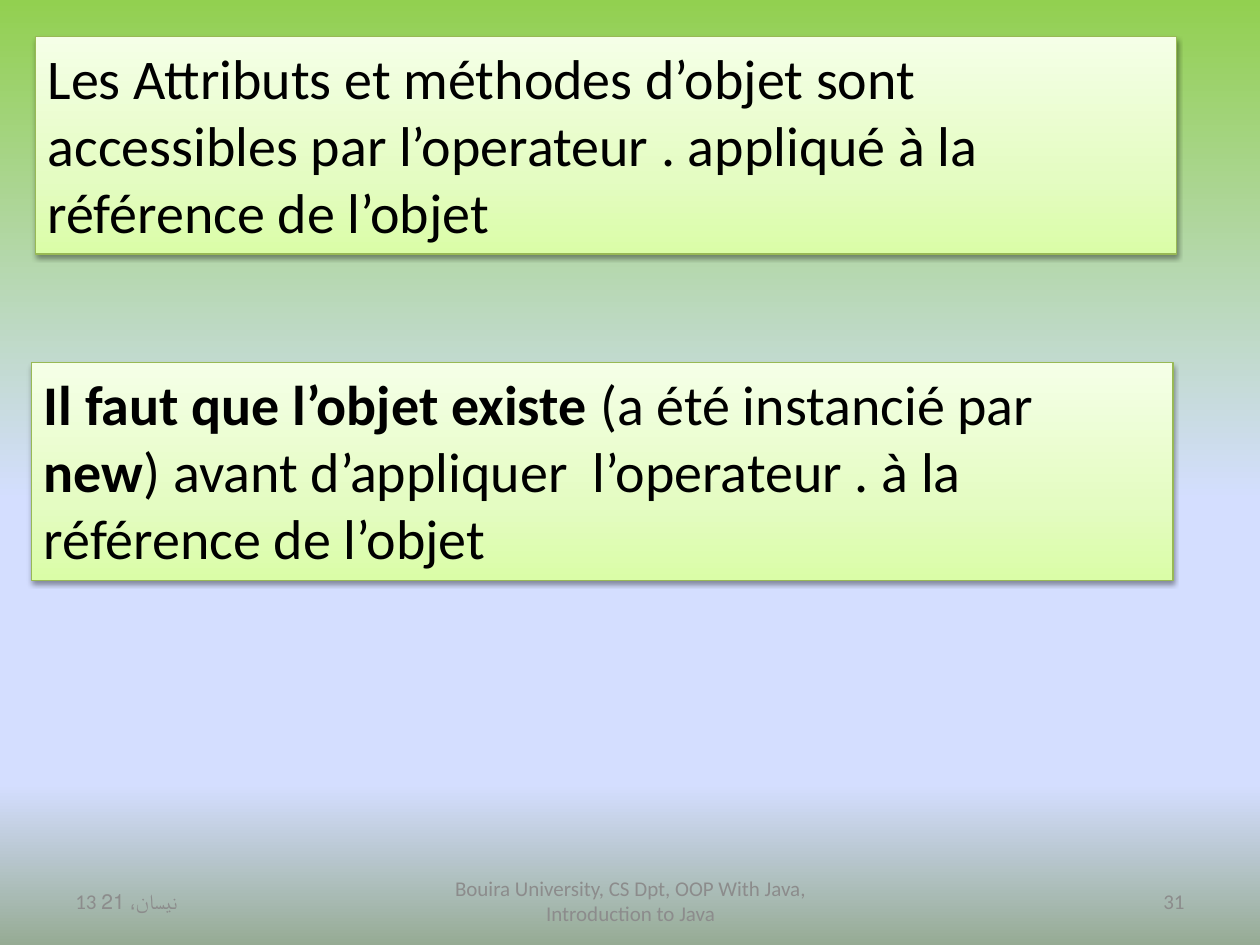
"""Build a slide on reaching an object's members, with two callouts and a footer."""
from typing import NamedTuple

from lxml import etree
from pptx import Presentation
from pptx import util as u
from pptx.dml.color import RGBColor
from pptx.enum import shapes, text
from pptx.oxml.ns import qn

WIDTH, HEIGHT = u.Inches(10), u.Inches(7.5)
FONT = "Calibri"
COLORS = {"text": "000000", "footer": "8C8C8C", "border": "98B955", "shadow": "000000"}
BACKGROUND = [(0, "92D050"), (53, "D4DEFF"), (83, "D4DEFF"), (100, "96AB94")]
CALLOUT_FILL = [(0, "DAFDA7"), (35, "E4FCC2"), (100, "F5FFE7")]
CALLOUT_SIZE = (0.906, 0.23)
FOOTER_TOP, FOOTER_HEIGHT = 0.927, 0.053


class Run(NamedTuple):
    text: str
    bold: bool = False


class Callout(NamedTuple):
    left: float
    top: float
    runs: list[Run]


class Footer(NamedTuple):
    left: float
    width: float
    text: str
    align: text.PP_ALIGN


CALLOUTS = [
    Callout(0.028, 0.039, [
        Run("Les Attributs et méthodes d’objet sont accessibles par "
            "l’operateur . appliqué à la référence de l’objet"),
    ]),
    Callout(0.025, 0.384, [
        Run("Il faut que l’objet existe ", True),
        Run("(a été instancié par "),
        Run("new", True),
        Run(") avant d’appliquer  l’operateur . à la référence de l’objet"),
    ]),
]
FOOTERS = [
    Footer(0.05, 0.233, "13 نيسان، 21", text.PP_ALIGN.LEFT),
    Footer(0.342, 0.317, "Bouira University, CS Dpt, OOP With Java, Introduction to Java",
           text.PP_ALIGN.CENTER),
    Footer(0.717, 0.233, "31", text.PP_ALIGN.RIGHT),
]


def place(left: float, top: float, width: float, height: float) -> tuple[int, ...]:
    return int(left * WIDTH), int(top * HEIGHT), int(width * WIDTH), int(height * HEIGHT)


def add_color(parent, color: str):
    return etree.SubElement(parent, qn("a:srgbClr"), val=color)


def set_gradient(fill, element, stops: list[tuple[int, str]], angle: int) -> None:
    fill.gradient()
    fill.gradient_angle = angle
    stop_list = next(element.iter(qn("a:gsLst")))
    for old in list(stop_list):
        stop_list.remove(old)
    for percent, color in stops:
        add_color(etree.SubElement(stop_list, qn("a:gs"), pos=str(percent * 1000)), color)


def set_shadow(sp) -> None:
    sp.shadow.inherit = False
    effects = next(sp._element.iter(qn("a:effectLst")))
    shadow = etree.SubElement(effects, qn("a:outerShdw"), blurRad=str(u.Pt(3.1)),
                              dist=str(u.Pt(1.6)), dir="5400000", rotWithShape="0")
    etree.SubElement(add_color(shadow, COLORS["shadow"]), qn("a:alpha"), val="38000")


def write(tf, runs: list[Run], size: int, color: str, align: text.PP_ALIGN) -> None:
    tf.word_wrap = True
    p = tf.paragraphs[0]
    p.alignment = align
    p.font.name, p.font.size = FONT, u.Pt(size)
    p.font.color.rgb = RGBColor.from_string(color)
    for run in runs:
        r = p.add_run()
        r.text, r.font.bold = run.text, run.bold


def add_callout(s, callout: Callout) -> None:
    sp = s.shapes.add_shape(shapes.MSO_SHAPE.RECTANGLE,
                            *place(callout.left, callout.top, *CALLOUT_SIZE))
    set_gradient(sp.fill, sp._element, CALLOUT_FILL, 90)
    sp.line.color.rgb = RGBColor.from_string(COLORS["border"])
    sp.line.width = u.Pt(0.75)
    set_shadow(sp)
    tf = sp.text_frame
    tf.vertical_anchor = text.MSO_ANCHOR.TOP
    tf.auto_size = text.MSO_AUTO_SIZE.SHAPE_TO_FIT_TEXT
    write(tf, callout.runs, 32, COLORS["text"], text.PP_ALIGN.LEFT)


def add_footer(s, footer: Footer) -> None:
    sp = s.shapes.add_textbox(*place(footer.left, FOOTER_TOP, footer.width, FOOTER_HEIGHT))
    tf = sp.text_frame
    tf.vertical_anchor = text.MSO_ANCHOR.MIDDLE
    write(tf, [Run(footer.text)], 12, COLORS["footer"], footer.align)


def main() -> None:
    prs = Presentation()
    prs.slide_width, prs.slide_height = WIDTH, HEIGHT
    s = prs.slides.add_slide(prs.slide_layouts[6])
    set_gradient(s.background.fill, s._element, BACKGROUND, 270)
    for callout in CALLOUTS:
        add_callout(s, callout)
    for footer in FOOTERS:
        add_footer(s, footer)
    prs.save("out.pptx")


if __name__ == "__main__":
    main()
